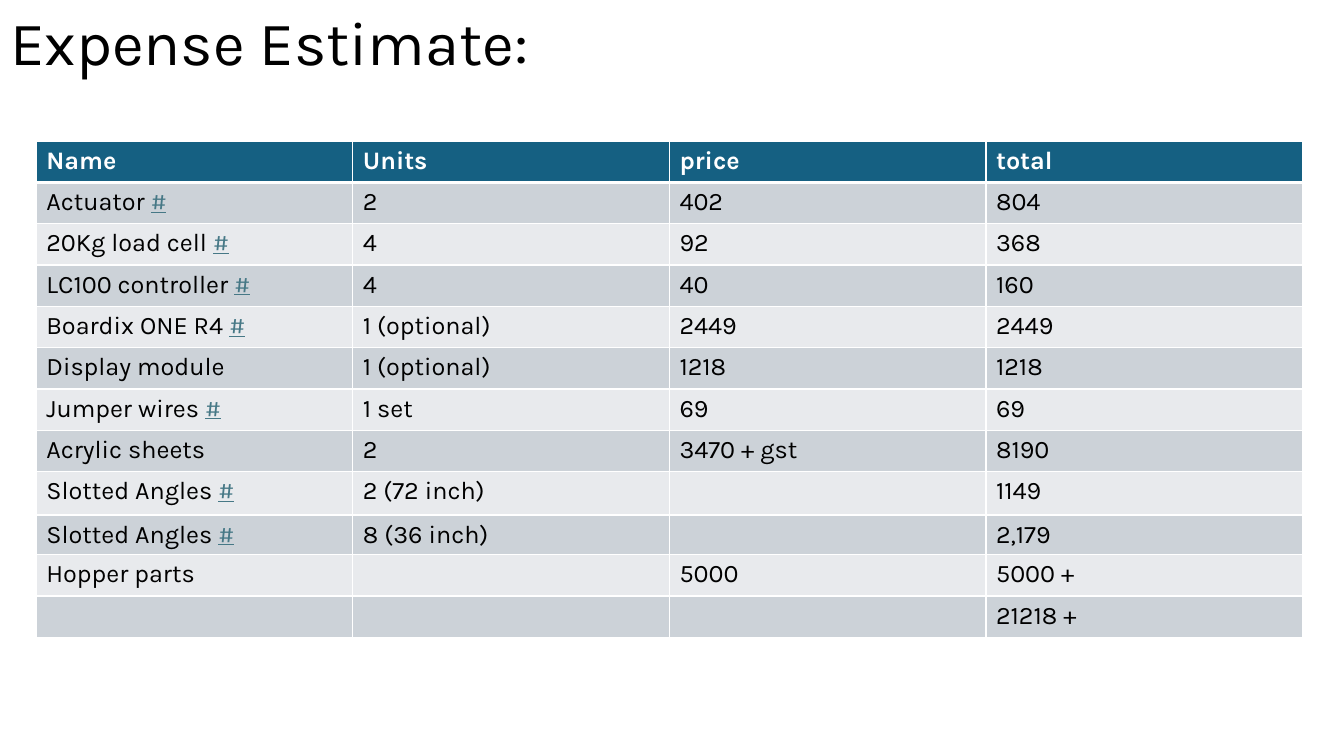
from dataclasses import dataclass

from lxml import etree
from pptx import Presentation
from pptx.dml.color import RGBColor
from pptx.enum import text
from pptx.oxml import ns
from pptx.util import Inches, Pt


@dataclass(frozen=True)
class Theme:
    font: str = "Karla"
    title_size: int = 44
    table_size: int = 18
    ink: str = "000000"
    paper: str = "FFFFFF"
    header: str = "156082"
    link: str = "467886"
    bands: tuple = ("CCD2D8", "E8EAED")
    border: int = 1
    header_border: int = 3


THEME = Theme()
MARK = "#"  # link marker at the end of a name

HEADINGS = ("Name", "Units", "price", "total")
EXPENSES = (
    ("Actuator #", "2", "402", "804"),
    ("20Kg load cell #", "4", "92", "368"),
    ("LC100 controller #", "4", "40", "160"),
    ("Boardix ONE R4 #", "1 (optional)", "2449", "2449"),
    ("Display module", "1 (optional)", "1218", "1218"),
    ("Jumper wires #", "1 set", "69", "69"),
    ("Acrylic sheets", "2", "3470 + gst", "8190"),
    ("Slotted Angles #", "2 (72 inch)", "", "1149"),
    ("Slotted Angles #", "8 (36 inch)", "", "2,179"),
    ("Hopper parts", "", "5000", "5000 +"),
    ("", "", "", "21218 +"),
)
ROW_HEIGHT = 0.41
SPECIAL_HEIGHTS = {8: 0.43, 9: 0.39}
COLUMN_WIDTH = 3.14


def add_span(para, words, color, **formats):
    span = para.add_run()
    span.text = words
    values = {"name": THEME.font, "size": Pt(THEME.table_size), "bold": False}
    for name, value in (values | formats).items():
        setattr(span.font, name, value)
    span.font.color.rgb = RGBColor.from_string(color)


def add_title(page, words):
    title = page.shapes.title
    place = {"left": 0, "top": 0.02, "width": 11.5, "height": 0.87}
    for name, value in place.items():
        setattr(title, name, Inches(value))
    frame = title.text_frame
    frame.word_wrap = True
    frame.vertical_anchor = text.MSO_ANCHOR.MIDDLE
    para = frame.paragraphs[0]
    para.alignment = text.PP_ALIGN.LEFT
    para.line_spacing = 0.9
    add_span(para, words, THEME.ink, size=Pt(THEME.title_size))


def set_borders(cell, widths):
    """Draw the cell edges; they come before the fill in the cell's XML."""
    properties = cell._tc.get_or_add_tcPr()
    for index, (side, width) in enumerate(widths.items()):
        line = etree.Element(ns.qn(f"a:ln{side}"), w=str(Pt(width)))
        fill = etree.SubElement(line, ns.qn("a:solidFill"))
        etree.SubElement(fill, ns.qn("a:srgbClr"), val=THEME.paper)
        properties.insert(index, line)


def set_empty_font(para):
    """Keep the row height of a blank cell in step with the table font."""
    end = etree.SubElement(para._p, ns.qn("a:endParaRPr"), sz=str(THEME.table_size * 100))
    etree.SubElement(end, ns.qn("a:latin"), typeface=THEME.font)


def fill_cell(cell, words, row):
    is_header = row == 0
    cell.fill.solid()
    color = THEME.header if is_header else THEME.bands[(row - 1) % 2]
    cell.fill.fore_color.rgb = RGBColor.from_string(color)
    widths = dict.fromkeys("LRTB", THEME.border)
    if is_header:
        widths["B"] = THEME.header_border
    elif row == 1:
        widths["T"] = THEME.header_border
    set_borders(cell, widths)

    para = cell.text_frame.paragraphs[0]
    label = words.removesuffix(MARK)
    if label:
        add_span(para, label, THEME.paper if is_header else THEME.ink, bold=is_header)
    else:
        set_empty_font(para)
    if label != words:
        add_span(para, MARK, THEME.link, underline=True)


def add_expense_table(page):
    rows = (HEADINGS, *EXPENSES)
    heights = [SPECIAL_HEIGHTS.get(row, ROW_HEIGHT) for row in range(len(rows))]
    table = page.shapes.add_table(
        len(rows), len(HEADINGS), Inches(0.36), Inches(1.4),
        Inches(COLUMN_WIDTH * len(HEADINGS)), Inches(sum(heights)),
    ).table
    for column in table.columns:
        column.width = Inches(COLUMN_WIDTH)
    for row, (entries, height) in enumerate(zip(rows, heights)):
        table.rows[row].height = Inches(height)
        for column, words in enumerate(entries):
            fill_cell(table.cell(row, column), words, row)


def main():
    deck = Presentation()
    deck.slide_width, deck.slide_height = Inches(13.33), Inches(7.5)
    page = deck.slides.add_slide(deck.slide_layouts[5])  # title only
    add_title(page, "Expense Estimate:")
    add_expense_table(page)
    deck.save("out.pptx")


if __name__ == "__main__":
    main()
